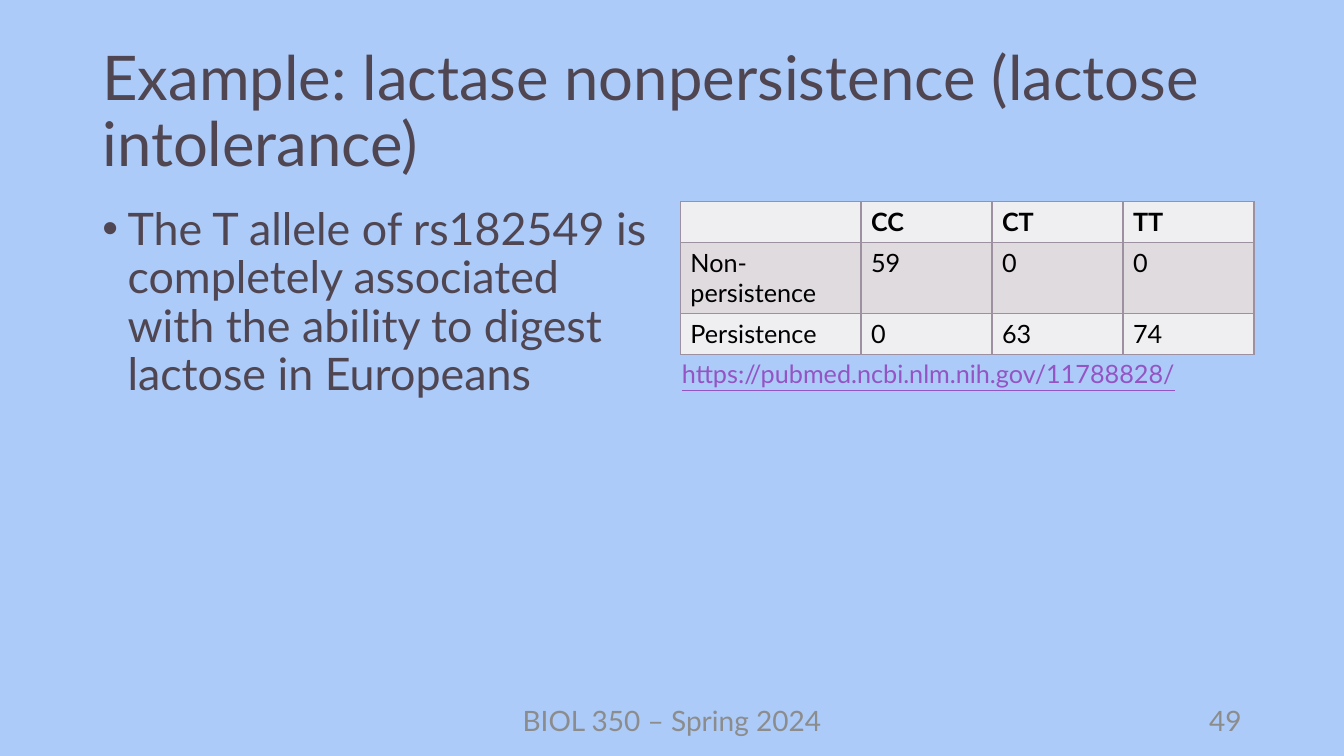
import dataclasses

import pptx
import pptx.dml.color
import pptx.enum.text
import pptx.oxml
import pptx.oxml.ns
import pptx.util

SLIDE_WIDTH = pptx.util.Inches(13.333)
SLIDE_HEIGHT = pptx.util.Inches(7.5)
COLUMNS, ROWS = 160, 90

ALIGN = pptx.enum.text.PP_ALIGN
ANCHOR = pptx.enum.text.MSO_ANCHOR

GENOTYPES = [
    ["", "CC", "CT", "TT"],
    ["Non-persistence", "59", "0", "0"],
    ["Persistence", "0", "63", "74"],
]


@dataclasses.dataclass(frozen=True)
class Theme:
    font: str = "Lato"
    background: str = "ACCBF9"
    heading: str = "504652"
    cell_text: str = "000000"
    cell_border: str = "9D90A0"
    bands: tuple = ("EFEEF0", "DFDBDF")
    footer: str = "8C8C8C"
    link: str = "9454C3"
    title_size: int = 44
    body_size: int = 32
    footer_size: int = 20
    small_size: int = 18


THEME = Theme()


def across(columns):
    return round(SLIDE_WIDTH * columns / COLUMNS)


def down(rows):
    return round(SLIDE_HEIGHT * rows / ROWS)


def place(column, row, width, height):
    """Turn a grid area into left, top, width and height."""
    return across(column), down(row), across(width), down(height)


def rgb(value):
    return pptx.dml.color.RGBColor.from_string(value)


def set_attributes(target, values):
    for name, value in values.items():
        setattr(target, name, value)


def style_font(font, size, color, **extra):
    set_attributes(font, {"name": THEME.font, "size": pptx.util.Pt(size), **extra})
    font.color.rgb = rgb(color)


def add_text(page, area, text, size, color, anchor=ANCHOR.TOP, underline=None, **layout):
    box = page.shapes.add_textbox(*place(*area))
    set_attributes(box.text_frame, {"word_wrap": True, "vertical_anchor": anchor})
    para = box.text_frame.paragraphs[0]
    set_attributes(para, layout)
    span = para.add_run()
    span.text = text
    style_font(span.font, size, color, underline=underline)
    return para


def add_bullet(para, indent):
    properties = para._p.get_or_add_pPr()
    properties.set("marL", str(indent))
    properties.set("indent", str(-indent))
    namespace = pptx.oxml.ns.nsdecls("a")
    for tag in ('buFont typeface="Arial"', 'buChar char="•"'):
        properties.append(pptx.oxml.parse_xml(f"<a:{tag} {namespace}/>"))


def add_borders(cell):
    properties = cell._tc.get_or_add_tcPr()
    for side in "LRTB":
        properties.append(pptx.oxml.parse_xml(
            f'<a:ln{side} {pptx.oxml.ns.nsdecls("a")} w="{pptx.util.Pt(1)}">'
            f'<a:solidFill><a:srgbClr val="{THEME.cell_border}"/></a:solidFill>'
            f"</a:ln{side}>"))


def add_genotype_table(page, column, row, widths, row_height):
    area = place(column, row, sum(widths), row_height * len(GENOTYPES))
    table = page.shapes.add_table(len(GENOTYPES), len(widths), *area).table
    for table_column, width in zip(table.columns, widths):
        table_column.width = across(width)
    for row_index, values in enumerate(GENOTYPES):
        table.rows[row_index].height = down(row_height)
        for column_index, value in enumerate(values):
            cell = table.cell(row_index, column_index)
            add_borders(cell)
            cell.fill.solid()
            cell.fill.fore_color.rgb = rgb(THEME.bands[row_index % 2])
            para = cell.text_frame.paragraphs[0]
            if value:
                font = para.add_run().font
                para.runs[0].text = value
            else:
                font = para.font
            style_font(font, THEME.small_size, THEME.cell_text, bold=row_index == 0)


def main():
    deck = pptx.Presentation()
    set_attributes(deck, {"slide_width": SLIDE_WIDTH, "slide_height": SLIDE_HEIGHT})
    page = deck.slides.add_slide(deck.slide_layouts[6])
    page.background.fill.solid()
    page.background.fill.fore_color.rgb = rgb(THEME.background)

    add_text(page, (11, 4.8, 138, 17.4),
             "Example: lactase nonpersistence (lactose intolerance)",
             THEME.title_size, THEME.heading, ANCHOR.MIDDLE, line_spacing=0.9)
    finding = add_text(page, (11, 24, 68, 57),
                       "The T allele of rs182549 is completely associated "
                       "with the ability to digest lactose in Europeans",
                       THEME.body_size, THEME.heading, line_spacing=0.9)
    add_bullet(finding, across(3))

    add_genotype_table(page, 81, 24, [21.5, 15.6, 15.6, 15.6], 4.9)
    add_text(page, (80, 42.1, 68, 4.8), "https://pubmed.ncbi.nlm.nih.gov/11788828/",
             THEME.small_size, THEME.link, underline=True)

    for column, width, text, alignment in (
        (53, 54, "BIOL 350 – Spring 2024", ALIGN.CENTER),
        (113, 36, "49", ALIGN.RIGHT),
    ):
        add_text(page, (column, 83.4, width, 4.8), text, THEME.footer_size,
                 THEME.footer, ANCHOR.MIDDLE, alignment=alignment)

    deck.save("out.pptx")


if __name__ == "__main__":
    main()
